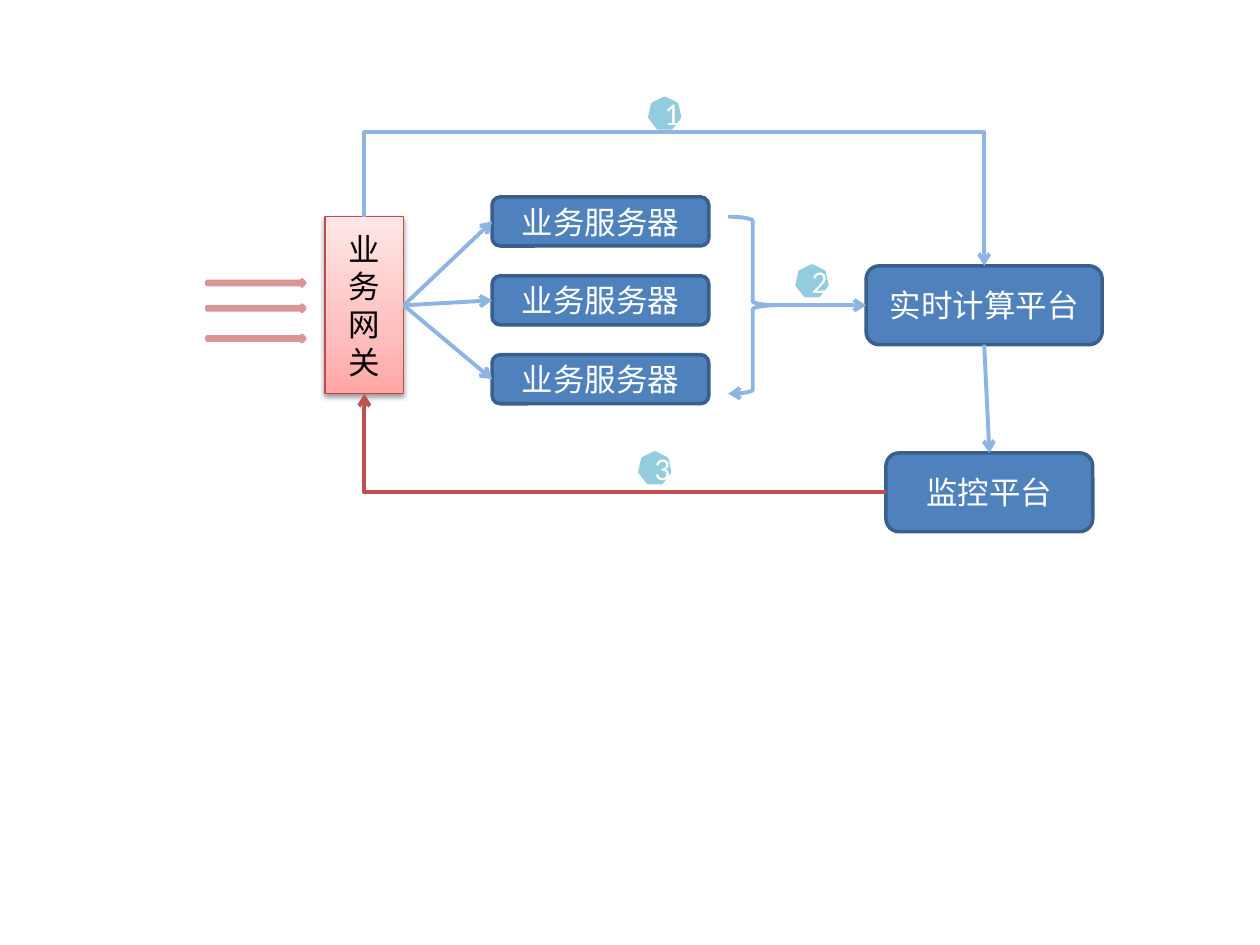
from copy import deepcopy

from lxml import etree
from pptx import Presentation
from pptx.dml.color import RGBColor
from pptx.enum import shapes, text
from pptx.oxml.ns import qn
from pptx.util import Cm, Pt

THEME = {
    "font": "Calibri", "size": 18, "white": "FFFFFF", "black": "000000",
    "node": "4F81BD", "node_edge": "3A5F8C", "flow": "8EB4E3",
    "feedback": "C0504D", "badge": "93CDDD",
    "request": "BFBFBF", "request_edge": "D99694",
    "gateway_edge": "BF4C48", "gateway": ("FFA6A5", "FFC0BF", "FFE7E7"),
}
FLOW_WIDTH, EDGE_WIDTH = 2.25, 2

# Boxes are left, top, width, height in centimetres
GATEWAY = ("业务网关", (6.55, 4.37, 1.59, 3.57))
COMPUTE = ("实时计算平台", (17.46, 5.36, 4.76, 1.59))
MONITOR = ("监控平台", (17.86, 9.13, 4.17, 1.59))
SERVER_PITCH = 1.59
SERVERS = [("业务服务器", (9.92, 3.97 + i * SERVER_PITCH, 4.37, 0.99)) for i in range(3)]
BRACE = (14.68, 4.37, 0.99, 3.57)
REQUESTS = [(4.17, top, 1.98, 0.13) for top in (5.64, 6.15, 6.76)]
BADGES = [("1", (13.1, 1.98, 0.6, 0.6)), ("2", (16.07, 5.36, 0.6, 0.6)),
          ("3", (12.9, 9.13, 0.6, 0.6))]
TOP_ROUTE = 2.67


def rgb(name):
    return RGBColor.from_string(THEME[name])


def side(box, across, down):
    """Point at the given fractions of a box's width and height."""
    left, top, width, height = box
    return left + across * width, top + down * height


def add_arrowhead(shape):
    outline = shape._element.spPr.get_or_add_ln()
    etree.SubElement(outline, qn("a:tailEnd"), type="arrow")


def add_box(slide, kind, box, fill, edge, edge_width=EDGE_WIDTH, label="", ink="white"):
    shape = slide.shapes.add_shape(kind, *map(Cm, box))
    shape.shadow.inherit = False
    if fill:
        shape.fill.solid()
        shape.fill.fore_color.rgb = rgb(fill)
    else:
        shape.fill.background()
    shape.line.color.rgb = rgb(edge)
    shape.line.width = Pt(edge_width)
    if label:
        frame = shape.text_frame
        frame.text = label
        frame.word_wrap = True
        frame.vertical_anchor = text.MSO_ANCHOR.MIDDLE
        paragraph = frame.paragraphs[0]
        paragraph.alignment = text.PP_ALIGN.CENTER
        font = paragraph.runs[0].font
        font.name, font.size = THEME["font"], Pt(THEME["size"])
        font.color.rgb = rgb(ink)
    return shape


def add_flow(slide, start, end, color="flow", kind=shapes.MSO_CONNECTOR.STRAIGHT):
    flow = slide.shapes.add_connector(kind, *map(Cm, start + end))
    flow.line.color.rgb = rgb(color)
    flow.line.width = Pt(FLOW_WIDTH)
    add_arrowhead(flow)
    etree.SubElement(flow._element.spPr, qn("a:effectLst"))
    return flow


def add_elbow(slide, box, color, preset, degrees, flip=False, bend=None):
    """Elbow in an unrotated box, then turned; bend is a fraction of its width."""
    flow = add_flow(slide, side(box, 0, 0), side(box, 1, 1), color,
                    shapes.MSO_CONNECTOR.ELBOW)
    properties = flow._element.spPr
    frame = properties.find(qn("a:xfrm"))
    frame.set("rot", str(degrees * 60000))
    if flip:
        frame.set("flipH", "1")
    geometry = properties.find(qn("a:prstGeom"))
    geometry.set("prst", preset)
    if bend is not None:
        guides = geometry.get_or_add_avLst()
        etree.SubElement(guides, qn("a:gd"), name="adj1", fmla=f"val {round(bend * 100000)}")


def style_gateway(shape):
    shape.fill.gradient()
    shape.fill.gradient_angle = 90
    first = shape.fill.gradient_stops[0]._gs
    middle = deepcopy(first)
    first.addnext(middle)
    middle.set("pos", "35000")
    for stop, color in zip(shape.fill.gradient_stops, THEME["gateway"]):
        stop.color.rgb = RGBColor.from_string(color)
    effects = shape._element.spPr.find(qn("a:effectLst"))
    shadow = etree.SubElement(effects, qn("a:outerShdw"), blurRad=str(Pt(3.1)),
                              dist=str(Pt(1.6)), dir="5400000", rotWithShape="0")
    color = etree.SubElement(shadow, qn("a:srgbClr"), val=THEME["black"])
    etree.SubElement(color, qn("a:alpha"), val="38000")


def add_routes(slide):
    gateway, compute, monitor = GATEWAY[1], COMPUTE[1], MONITOR[1]
    for _, server in SERVERS:
        add_flow(slide, side(gateway, 1, 0.5), side(server, 0, 0.5))
    add_flow(slide, side(BRACE, 1, 0.5), side(compute, 0, 0.5))
    add_flow(slide, side(compute, 0.5, 1), side(monitor, 0.5, 0))

    (x1, y1), (x2, y2) = side(gateway, 0.5, 0), side(compute, 0.5, 0)
    span, drop = x2 - x1, y2 - y1
    turned = ((x1 + x2 - drop) / 2, (y1 + y2 - span) / 2, drop, span)
    add_elbow(slide, turned, "flow", "bentConnector3", 270, True, (TOP_ROUTE - y1) / drop)

    (x1, y1), (x2, y2) = side(gateway, 0.5, 1), side(monitor, 0, 0.5)
    add_elbow(slide, (x1, y1, x2 - x1, y2 - y1), "feedback", "bentConnector2", 180)


def main():
    deck = Presentation()
    deck.slide_width, deck.slide_height = Cm(25.4), Cm(19.05)
    slide = deck.slides.add_slide(deck.slide_layouts[6])
    kinds = shapes.MSO_SHAPE

    label, box = GATEWAY
    style_gateway(add_box(slide, kinds.RECTANGLE, box, "white", "gateway_edge", 0.75,
                          label, "black"))
    for box in REQUESTS:
        add_box(slide, kinds.RIGHT_ARROW, box, "request", "request_edge")
    for label, box in [MONITOR, COMPUTE, *SERVERS]:
        add_box(slide, kinds.ROUNDED_RECTANGLE, box, "node", "node_edge", label=label)
    brace = add_box(slide, kinds.RIGHT_BRACE, BRACE, None, "flow", FLOW_WIDTH)
    add_arrowhead(brace)
    add_routes(slide)
    for label, box in BADGES:
        add_box(slide, kinds.HEPTAGON, box, "badge", "badge", label=label)

    deck.save("out.pptx")


if __name__ == "__main__":
    main()
